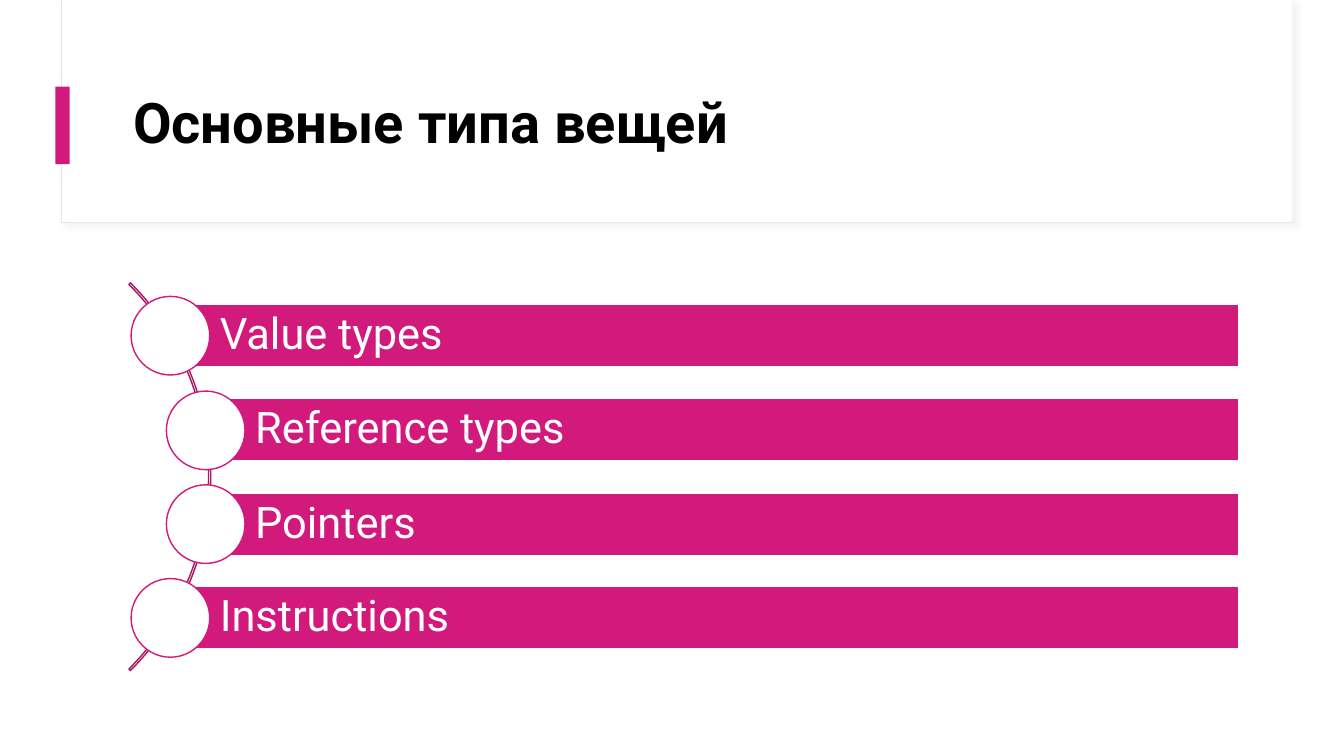
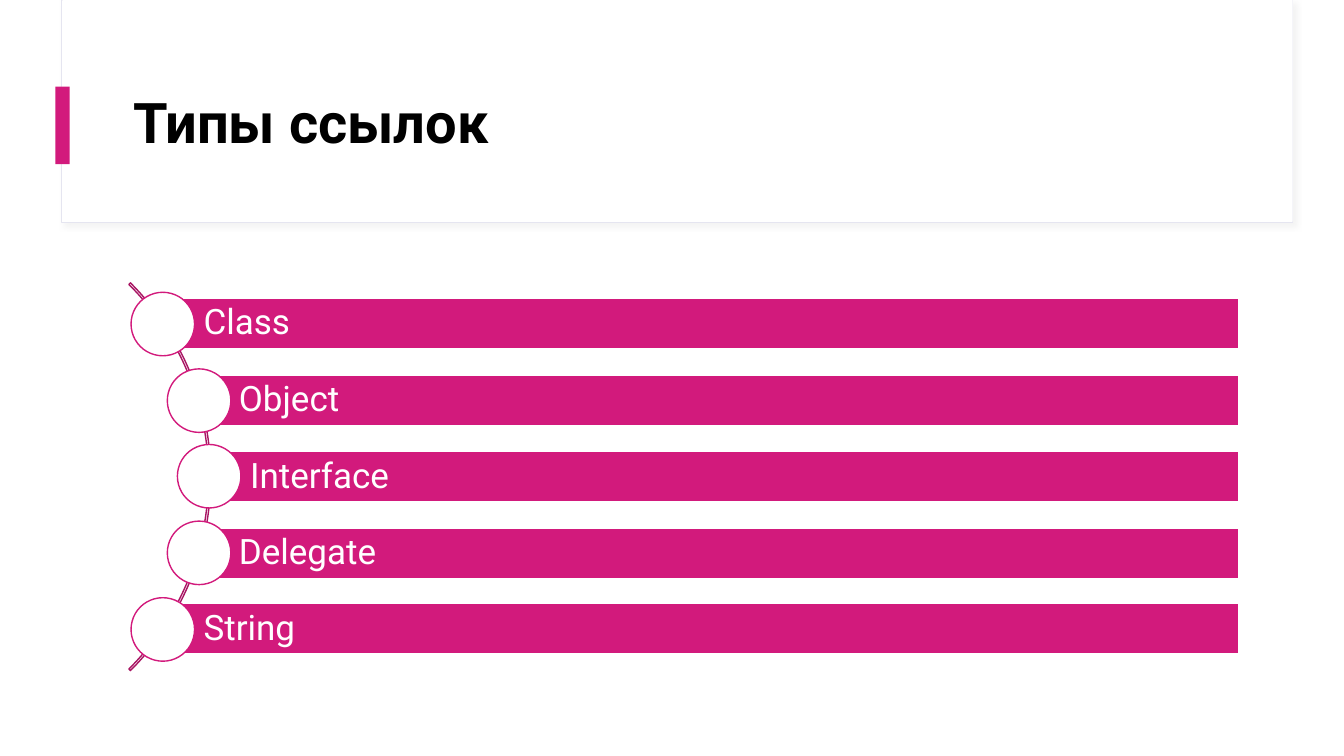
from math import sqrt

from pptx import Presentation
from pptx.dml.color import RGBColor
from pptx.enum.shapes import MSO_SHAPE
from pptx.enum.text import MSO_ANCHOR, MSO_AUTO_SIZE, PP_ALIGN
from pptx.oxml import parse_xml
from pptx.oxml.ns import nsdecls, qn
from pptx.util import Pt

RECTANGLE, OVAL, BLOCK_ARC = MSO_SHAPE.RECTANGLE, MSO_SHAPE.OVAL, MSO_SHAPE.BLOCK_ARC
MIDDLE, LEFT = MSO_ANCHOR.MIDDLE, PP_ALIGN.LEFT
NO_AUTOFIT = MSO_AUTO_SIZE.NONE

EMU_PER_PX = 9144  # 100 px to the inch
SLIDE_WIDTH, SLIDE_HEIGHT = 1333, 750
TITLE_ONLY_LAYOUT = 5

FONT = "Roboto"
WHITE, BLACK = "FFFFFF", "000000"
PINK, DARK_PINK = "D21A7C", "A81563"
PALE_BORDER, SHADOW_GREY = "E5E5F0", "D9D9D9"

ARC_LEFT, ARC_TOP, ARC_SIZE = -335, 201, 544
ARC_CENTER_X = ARC_LEFT + ARC_SIZE // 2
ARC_CENTER_Y = ARC_TOP + ARC_SIZE // 2
ARC_RADIUS = ARC_SIZE // 2 - 1
LIST_HEIGHT, LIST_RIGHT = 404, 1229

SLIDES = [
    ("Основные типа вещей", ["Value types", "Reference types", "Pointers", "Instructions"]),
    ("Типы ссылок", ["Class", "Object", "Interface", "Delegate", "String"]),
]


def px(length):
    return round(length) * EMU_PER_PX


def color(hex_string):
    return RGBColor.from_string(hex_string)


def add_box(shapes, kind, left, top, width, height, fill=None, line=None, line_width=1):
    """Add a preset shape without shadow; no fill or line unless a colour is given."""
    shape = shapes.add_shape(kind, px(left), px(top), px(width), px(height))
    shape.shadow.inherit = False
    if fill:
        shape.fill.solid()
        shape.fill.fore_color.rgb = color(fill)
    else:
        shape.fill.background()
    if line:
        shape.line.color.rgb = color(line)
        shape.line.width = Pt(line_width)
    else:
        shape.line.fill.background()
    return shape


def add_soft_shadow(shape):
    effects = shape.element.spPr.find(qn("a:effectLst"))
    effects.append(parse_xml(
        f'<a:outerShdw {nsdecls("a")} blurRad="{Pt(4)}" dist="{Pt(3)}" dir="2700000" '
        f'algn="tl" rotWithShape="0"><a:srgbClr val="{SHADOW_GREY}">'
        '<a:alpha val="30000"/></a:srgbClr></a:outerShdw>'))


def format_text(text_frame, text, size, text_color, bold=False):
    text_frame.text = text
    text_frame.word_wrap = True
    text_frame.auto_size = NO_AUTOFIT
    text_frame.vertical_anchor = MIDDLE
    paragraph = text_frame.paragraphs[0]
    paragraph.alignment = LEFT
    paragraph.line_spacing = 0.9
    paragraph.font.name = FONT
    paragraph.font.size = Pt(size)
    paragraph.font.bold = bold
    paragraph.font.color.rgb = color(text_color)


def design_layout(layout, slide):
    """Place the title and header band on the layout; the shapes are made on the slide first."""
    for placeholder in list(layout.placeholders):
        if placeholder.placeholder_format.idx != 0:
            layout.shapes.element.remove(placeholder.element)
    title = layout.placeholders[0]
    title.left, title.top, title.width, title.height = map(px, (122, 60, 1112, 129))

    frame = add_box(slide.shapes, RECTANGLE, 61, 0, 1221, 221, WHITE, PALE_BORDER, 0.75)
    add_soft_shadow(frame)
    panel = add_box(slide.shapes, RECTANGLE, 62, 0, 1220, 220, WHITE)
    accent = add_box(slide.shapes, RECTANGLE, 55, 86, 14, 77, PINK)
    for shape in (frame, panel, accent):
        layout.shapes.element.append(shape.element)


def add_arc(shapes):
    arc = add_box(shapes, BLOCK_ARC, ARC_LEFT, ARC_TOP, ARC_SIZE, ARC_SIZE, line=DARK_PINK)
    # From 315 to 45 degrees, as a thin band
    for index, value in enumerate((189, 27, 0.004)):
        arc.adjustments[index] = value


def add_bar(shapes, text, left, center_y, height):
    bar = add_box(shapes, RECTANGLE, left, center_y - height / 2,
                  LIST_RIGHT - left, height, PINK, WHITE)
    font_size = round(height / 2)
    text_frame = bar.text_frame
    format_text(text_frame, text, font_size, WHITE)
    text_frame.margin_left = px(0.79 * height)
    text_frame.margin_right = px(0.3 * font_size)
    text_frame.margin_top = text_frame.margin_bottom = px(0.3 * font_size)


def add_curved_list(slide, items):
    """Spread bars evenly, half a bar apart, each starting at a circle centred on the arc."""
    shapes = slide.shapes.add_group_shape().shapes
    add_arc(shapes)
    bar_height = LIST_HEIGHT / (1.5 * len(items) + 0.5)
    diameter = 1.25 * bar_height
    for index, text in enumerate(items):
        offset = (index - (len(items) - 1) / 2) * 1.5 * bar_height
        center_x = ARC_CENTER_X + sqrt(ARC_RADIUS ** 2 - offset ** 2)
        center_y = ARC_CENTER_Y + offset
        add_bar(shapes, text, center_x, center_y, bar_height)
        add_box(shapes, OVAL, center_x - diameter / 2, center_y - diameter / 2,
                diameter, diameter, WHITE, PINK)


def main():
    presentation = Presentation()
    presentation.slide_width = px(SLIDE_WIDTH)
    presentation.slide_height = px(SLIDE_HEIGHT)
    layout = presentation.slide_layouts[TITLE_ONLY_LAYOUT]
    slides = [presentation.slides.add_slide(layout) for _ in SLIDES]
    design_layout(layout, slides[0])
    for slide, (title, items) in zip(slides, SLIDES):
        format_text(slide.shapes.title.text_frame, title, 40, BLACK, bold=True)
        add_curved_list(slide, items)
    presentation.save("out.pptx")


if __name__ == "__main__":
    main()
